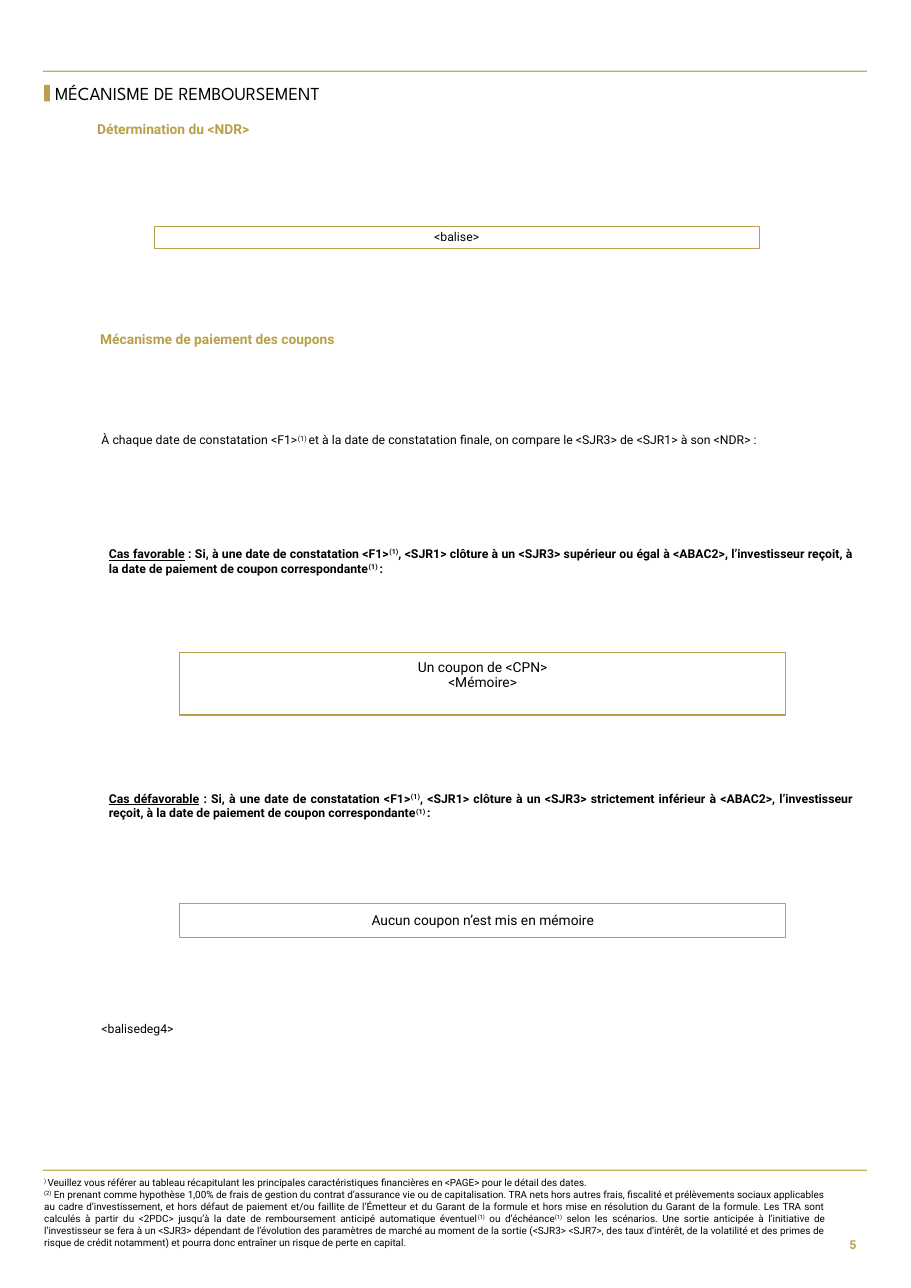
from pptx import Presentation
from pptx.dml.color import RGBColor
from pptx.enum.shapes import MSO_SHAPE
from pptx.enum.text import MSO_ANCHOR, PP_ALIGN
from pptx.util import Cm, Pt

GOLD = RGBColor(0xB9, 0xA0, 0x49)
RULE_GOLD = RGBColor(0xC5, 0xAF, 0x5C)
BLACK = RGBColor(0, 0, 0)
WHITE = RGBColor(0xFF, 0xFF, 0xFF)
RECT = MSO_SHAPE.RECTANGLE
TOP, MIDDLE = MSO_ANCHOR.TOP, MSO_ANCHOR.MIDDLE
LEFT, CENTER, RIGHT, JUSTIFY = PP_ALIGN.LEFT, PP_ALIGN.CENTER, PP_ALIGN.RIGHT, PP_ALIGN.JUSTIFY
SUP, UNDER = "superscript", "underline"
REF = ("(1)", SUP)
REF_SPACE = ("(1) ", SUP)

prs = Presentation()
prs.slide_width, prs.slide_height = Cm(21), Cm(29.7)
s = prs.slides.add_slide(prs.slide_layouts[6])


def add_rect(box, fill=None, line=None, width=0.75):
    sp = s.shapes.add_shape(RECT, *map(Cm, box))
    sp.shadow.inherit = False
    if fill is None:
        sp.fill.background()
    else:
        sp.fill.solid()
        sp.fill.fore_color.rgb = fill
    if line is None:
        sp.line.fill.background()
    else:
        sp.line.color.rgb = line
        sp.line.width = Pt(width)
    return sp


def write(sp, paragraphs, size=8, color=BLACK, bold=False, font="Roboto",
          align=JUSTIFY, anchor=TOP, inset=(0, 0), spacing=1.0):
    """Each paragraph is a list of runs: plain strings or (text, style) pairs."""
    tf = sp.text_frame
    frame = {"word_wrap": True, "vertical_anchor": anchor,
             "margin_left": Cm(inset[0]), "margin_right": Cm(inset[0]),
             "margin_top": Cm(inset[1]), "margin_bottom": Cm(inset[1])}
    for name, value in frame.items():
        setattr(tf, name, value)
    for i, runs in enumerate(paragraphs):
        p = tf.add_paragraph() if i else tf.paragraphs[0]
        p.alignment, p.line_spacing = align, spacing
        for run in runs:
            text, style = (run, None) if isinstance(run, str) else run
            r = p.add_run()
            r.text = text
            for name, value in {"name": font, "size": Pt(size), "bold": bold}.items():
                setattr(r.font, name, value)
            r.font.color.rgb = color
            if style == UNDER:
                r.font.underline = True
            elif style == SUP:
                r._r.get_or_add_rPr().set("baseline", "30000")


# Page rules and title marker
for y in (1.63, 26.97):
    add_rect((0.99, y, 19, 0.03), RULE_GOLD)
add_rect((1.02, 1.96, 0.13, 0.38), GOLD)

# Text blocks
heading = {"size": 9, "color": GOLD, "bold": True, "align": LEFT}
footnotes = [
    [(") ", SUP), "Veuillez vous référer au tableau récapitulant les principales "
     "caractéristiques financières en <PAGE> pour le détail des dates. "],
    [("(2)", SUP), " En prenant comme hypothèse 1,00% de frais de gestion du contrat "
     "d’assurance vie ou de capitalisation. TRA nets hors autres frais, fiscalité et "
     "prélèvements sociaux applicables au cadre d’investissement, et hors défaut de paiement "
     "et/ou faillite de l’Émetteur et du Garant de la formule et hors mise en résolution du "
     "Garant de la formule. Les TRA sont calculés à partir du <2PDC> jusqu’à la date de "
     "remboursement anticipé automatique éventuel", REF, " ou d’échéance", REF,
     " selon les scénarios. Une sortie anticipée à l’initiative de l’investisseur se fera à un "
     "<SJR3> dépendant de l’évolution des paramètres de marché au moment de la sortie (<SJR3> "
     "<SJR7>, des taux d’intérêt, de la volatilité et des primes de risque de crédit "
     "notamment) et pourra donc entraîner un risque de perte en capital."],
]
intro = ["À chaque date de constatation <F1>", REF_SPACE, "et à la date de constatation finale, "
         "on compare le <SJR3> de <SJR1> à son <NDR> :"]
blocks = [
    ((1.27, 1.85, 10.69, 0.64), [["MÉCANISME DE REMBOURSEMENT"]],
     {"size": 12, "font": "League Spartan", "align": LEFT, "anchor": MIDDLE, "spacing": 0.9}),
    ((2.24, 2.79, 7.54, 0.46), [["Détermination du <NDR>"]], heading),
    ((2.31, 7.62, 16.69, 0.43), [["Mécanisme de paiement des coupons"]], heading),
    ((2.34, 9.98, 16.69, 0.33), [intro], {}),
    ((2.34, 23.55, 17.17, 0.33), [["<balisedeg4>"]], {}),
    ((1.02, 27.13, 18.01, 1.68), footnotes, {"size": 6.5}),
    ((19, 28.17, 0.99, 1.07), [["5"]],
     {"color": GOLD, "bold": True, "align": RIGHT, "anchor": MIDDLE, "inset": (0.25, 0.13)}),
]

# Favourable and unfavourable cases
for y, case, comparison in ((12.6, "favorable", "supérieur ou égal"),
                            (18.24, "défavorable", "strictement inférieur")):
    runs = [("Cas " + case, UNDER), " : Si, à une date de constatation <F1>", REF,
            f", <SJR1> clôture à un <SJR3> {comparison} à <ABAC2>, l’investisseur reçoit, "
            "à la date de paiement de coupon correspondante", REF_SPACE, ":"]
    blocks.append(((2.51, y, 17.17, 0.69), [runs], {"bold": True}))

for box, paragraphs, fmt in blocks:
    write(s.shapes.add_textbox(*map(Cm, box)), paragraphs, **fmt)

# Framed results
sp = add_rect((3.56, 5.21, 13.94, 0.51), line=GOLD, width=0.5)
write(sp, [["<balise>"]], align=CENTER, anchor=MIDDLE)
for y, height, lines, fmt in (
        (15.04, 1.45, [["Un coupon de <CPN>"], ["<Mémoire>"]], {"spacing": 0.9}),
        (20.83, 0.79, [["Aucun coupon n’est mis en mémoire"]], {"anchor": MIDDLE})):
    sp = add_rect((4.14, y, 13.97, height), WHITE, GOLD)
    write(sp, lines, size=9, align=CENTER, inset=(0.3, 0.2), **fmt)

prs.save("out.pptx")
